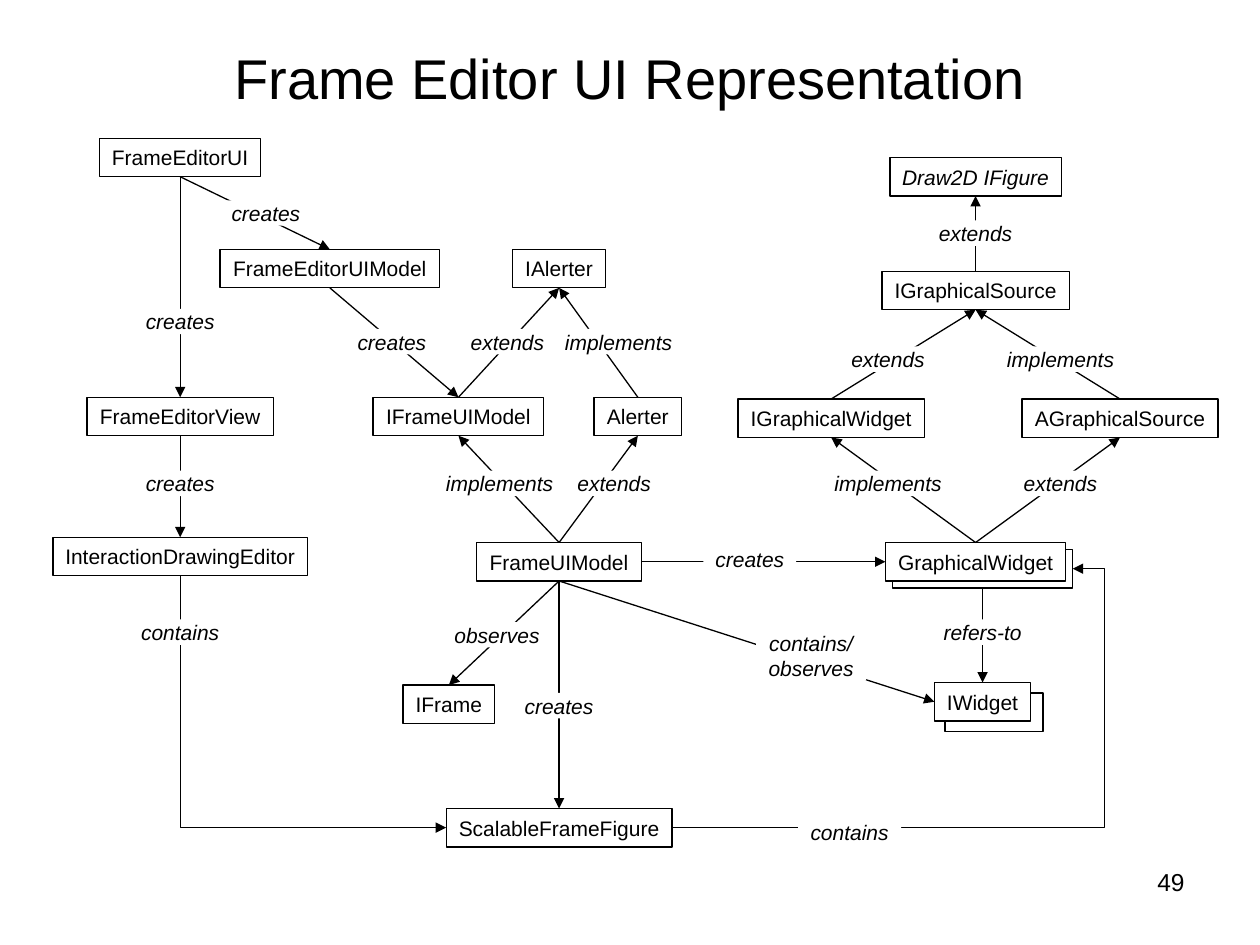
"""Build the slide that shows the classes behind the frame editor UI."""
from lxml.etree import SubElement
from pptx import Presentation
from pptx.dml.color import RGBColor
from pptx.enum.shapes import MSO_CONNECTOR, MSO_SHAPE
from pptx.enum.text import MSO_ANCHOR, MSO_AUTO_SIZE, PP_ALIGN
from pptx.oxml.ns import qn
from pptx.util import Pt

BLACK, WHITE = "000000", "FFFFFF"
TOP, LEFT, BOTTOM, RIGHT = range(4)
BOX_HEIGHT, LINE_HEIGHT = 22, 14.5

# name: (centre x, top, width)
BACK_BOXES = {
    "IWidget stack": (568, 396, 56),
    "GraphicalWidget stack": (561.5, 314, 103),
}
CLASS_BOXES = {
    "FrameEditorUI": (103, 79, 92),
    "FrameEditorView": (103, 227, 106.5),
    "InteractionDrawingEditor": (103, 307, 145.5),
    "FrameEditorUIModel": (188.5, 142.5, 125.5),
    "IFrameUIModel": (262, 227, 97.5),
    "IAlerter": (319.5, 142.5, 53),
    "Alerter": (364.5, 227, 50),
    "FrameUIModel": (319.5, 310, 94),
    "IFrame": (256.5, 391.5, 52.5),
    "ScalableFrameFigure": (319.5, 462, 129),
    "Draw2D IFigure": (557.5, 90, 98),
    "IGraphicalSource": (557.5, 155, 107),
    "IGraphicalWidget": (475, 228, 106.5),
    "AGraphicalSource": (640, 228, 112),
    "GraphicalWidget": (557.5, 310, 103),
    "IWidget": (561.5, 390, 55),
}
ARROWS = [
    ("FrameEditorUI", BOTTOM, "FrameEditorView", TOP),
    ("FrameEditorUI", BOTTOM, "FrameEditorUIModel", TOP),
    ("FrameEditorView", BOTTOM, "InteractionDrawingEditor", TOP),
    ("FrameEditorUIModel", BOTTOM, "IFrameUIModel", TOP),
    ("IFrameUIModel", TOP, "IAlerter", BOTTOM),
    ("Alerter", TOP, "IAlerter", BOTTOM),
    ("FrameUIModel", TOP, "IFrameUIModel", BOTTOM),
    ("FrameUIModel", TOP, "Alerter", BOTTOM),
    ("FrameUIModel", BOTTOM, "IFrame", TOP),
    ("FrameUIModel", BOTTOM, "ScalableFrameFigure", TOP),
    ("FrameUIModel", BOTTOM, "IWidget", LEFT),
    ("FrameUIModel", RIGHT, "GraphicalWidget", LEFT),
    ("IGraphicalSource", TOP, "Draw2D IFigure", BOTTOM),
    ("IGraphicalWidget", TOP, "IGraphicalSource", BOTTOM),
    ("AGraphicalSource", TOP, "IGraphicalSource", BOTTOM),
    ("GraphicalWidget", TOP, "IGraphicalWidget", BOTTOM),
    ("GraphicalWidget", TOP, "AGraphicalSource", BOTTOM),
    ("GraphicalWidget stack", BOTTOM, "IWidget", TOP),
]
LABEL_WIDTHS = {"creates": 53, "extends": 56, "implements": 76, "observes": 63,
                "contains": 59, "refers-to": 59, "contains/\nobserves": 63}
# text: (centre x, top) of each place
LABELS = {
    "creates": [(103, 269), (103, 176.5), (152, 114.5), (224, 188),
                (428.5, 312), (319.5, 396)],
    "extends": [(290, 188), (351, 269), (557.5, 126), (507.5, 198), (606, 269)],
    "implements": [(353.5, 188), (285.5, 269), (606, 198), (507.5, 269)],
    "observes": [(284, 355.5)],
    "contains": [(103, 354), (485.5, 468)],
    "refers-to": [(561.5, 354)],
    "contains/\nobserves": [(463.5, 360)],
}


def color(hex_string):
    """Turn a hex string into a colour."""
    return RGBColor.from_string(hex_string)


def set_attributes(target, values):
    """Set each named attribute on the target."""
    for name, value in values.items():
        setattr(target, name, value)


def write_text(shape, text, size=12, italic=False, align=PP_ALIGN.CENTER,
               anchor=MSO_ANCHOR.MIDDLE, margin=3.6, wrap=False):
    """Write text in a shape, one paragraph a line."""
    frame = shape.text_frame
    set_attributes(frame, {
        "auto_size": MSO_AUTO_SIZE.NONE, "word_wrap": wrap,
        "vertical_anchor": anchor, "margin_left": Pt(7.2),
        "margin_right": Pt(7.2), "margin_top": Pt(margin),
        "margin_bottom": Pt(margin)})
    frame.text = text
    for paragraph in frame.paragraphs:
        paragraph.alignment = align
        font = paragraph.runs[0].font
        set_attributes(font, {"name": "Arial", "size": Pt(size), "italic": italic})
        font.color.rgb = color(BLACK)


def add_rectangle(slide, center, top, width, height):
    """Add a white rectangle without a line, centred on an x position."""
    shape = slide.shapes.add_shape(
        MSO_SHAPE.RECTANGLE, Pt(center - width / 2), Pt(top), Pt(width), Pt(height))
    shape.shadow.inherit = False
    shape.fill.solid()
    shape.fill.fore_color.rgb = color(WHITE)
    shape.line.fill.background()
    return shape


def draw_line(line):
    """Make a line thin and black."""
    line.color.rgb = color(BLACK)
    line.width = Pt(0.75)


def add_box(slide, center, top, width):
    """Add an outlined box."""
    box = add_rectangle(slide, center, top, width, BOX_HEIGHT)
    draw_line(box.line)
    return box


def add_label(slide, text, center, top):
    """Add an italic label that interrupts the line behind it."""
    height = LINE_HEIGHT * len(text.splitlines())
    label = add_rectangle(slide, center, top, LABEL_WIDTHS[text], height)
    write_text(label, text, italic=True, margin=0)


def add_arrow(slide, start, start_side, end, end_side,
              kind=MSO_CONNECTOR.STRAIGHT, arrowhead="a:tailEnd"):
    """Join two boxes with an arrow."""
    connector = slide.shapes.add_connector(kind, Pt(0), Pt(0), Pt(0), Pt(0))
    connector.begin_connect(start, start_side)
    connector.end_connect(end, end_side)
    draw_line(connector.line)
    properties = connector.element.spPr
    SubElement(properties.find(qn("a:ln")), qn(arrowhead), type="triangle")
    SubElement(properties, qn("a:effectLst"))
    return properties.find(qn("a:prstGeom"))


def add_bent_arrows(slide, boxes):
    """Add the two arrows that turn corners around the scalable figure."""
    figure = boxes["ScalableFrameFigure"]
    geometry = add_arrow(slide, figure, LEFT, boxes["InteractionDrawingEditor"],
                         BOTTOM, MSO_CONNECTOR.ELBOW, "a:headEnd")
    geometry.set("prst", "bentConnector2")
    geometry = add_arrow(slide, figure, RIGHT, boxes["GraphicalWidget stack"],
                         RIGHT, MSO_CONNECTOR.ELBOW)
    SubElement(geometry.find(qn("a:avLst")), qn("a:gd"), name="adj1", fmla="val 107900")


def add_text(slide, text, left, top, width, height, **text_format):
    """Add a wrapping text box."""
    box = slide.shapes.add_textbox(Pt(left), Pt(top), Pt(width), Pt(height))
    write_text(box, text, wrap=True, **text_format)


def main():
    """Build and save the slide."""
    presentation = Presentation()
    set_attributes(presentation, {"slide_width": Pt(720), "slide_height": Pt(540)})
    slide = presentation.slides.add_slide(presentation.slide_layouts[6])
    add_text(slide, "Frame Editor UI Representation", 36, 21.5, 648, 45, size=32)
    boxes = {name: add_box(slide, *place)
             for name, place in (BACK_BOXES | CLASS_BOXES).items()}
    for name in CLASS_BOXES:
        write_text(boxes[name], name, italic=name == "Draw2D IFigure")
    for start, start_side, end, end_side in ARROWS:
        add_arrow(slide, boxes[start], start_side, boxes[end], end_side)
    add_bent_arrows(slide, boxes)
    for text, places in LABELS.items():
        for center, top in places:
            add_label(slide, text, center, top)
    add_text(slide, "49", 558, 492, 126, 37.5, size=14,
             align=PP_ALIGN.RIGHT, anchor=MSO_ANCHOR.TOP)
    presentation.save("out.pptx")


if __name__ == "__main__":
    main()
